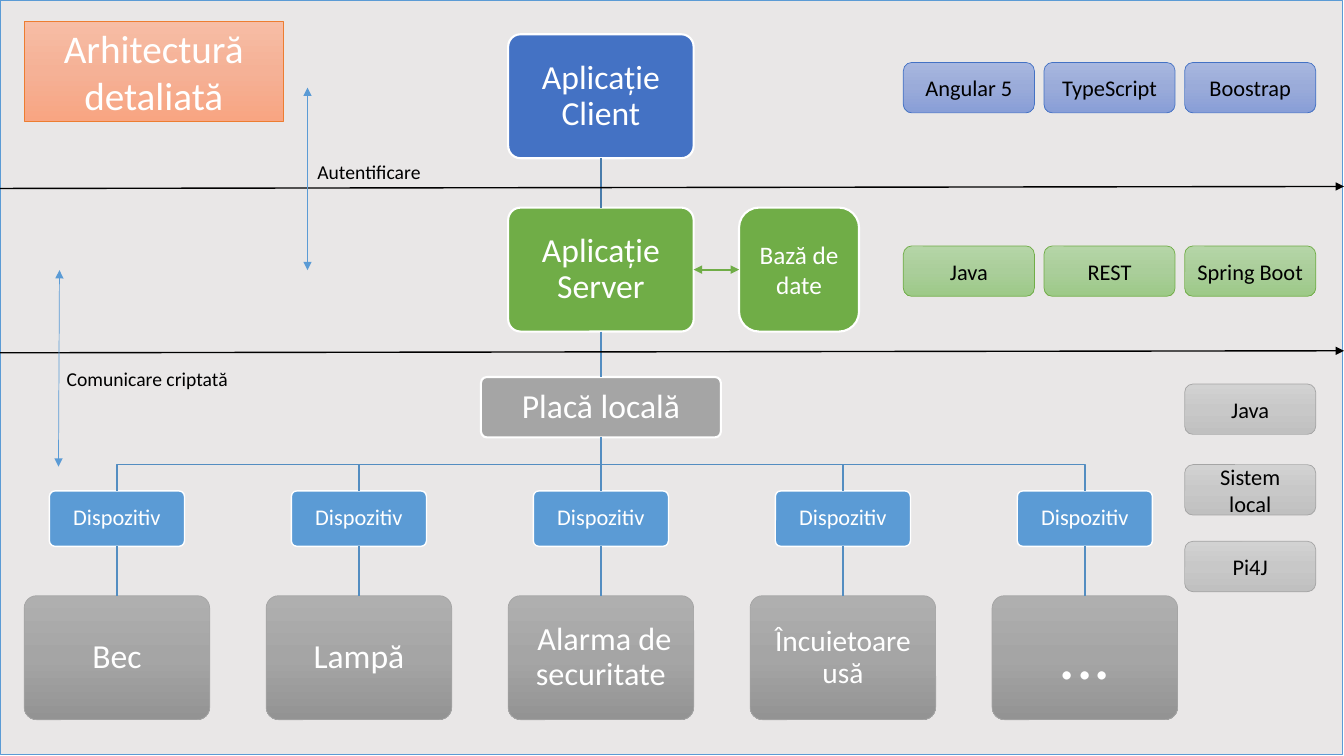
"""Build the detailed architecture slide of a home automation system."""
from copy import deepcopy

from lxml import etree
from pptx import Presentation
from pptx import util as u
from pptx.dml.color import RGBColor
from pptx.enum import shapes, text
from pptx.oxml.ns import qn

WHITE = RGBColor(0xFF, 0xFF, 0xFF)
BLACK = RGBColor(0, 0, 0)
BACKDROP = RGBColor(0xE9, 0xE7, 0xE7)
BLUE = RGBColor(0x44, 0x72, 0xC4)
GREEN = RGBColor(0x70, 0xAD, 0x47)
GRAY = RGBColor(0xA5, 0xA5, 0xA5)
SKY = RGBColor(0x5B, 0x9B, 0xD5)
ORANGE = RGBColor(0xED, 0x7D, 0x31)
CLIENT_LINK = RGBColor(0x49, 0x7C, 0xAB)
TREE_LINK = RGBColor(0x53, 0x8D, 0xC1)
BLUE_FADE = tuple(map(RGBColor.from_string, ("A8B7DF", "9AABD9", "889ED7")))
GREEN_FADE = tuple(map(RGBColor.from_string, ("B5D5A7", "AACE9A", "9CC987")))
LIGHT_FADE = tuple(map(RGBColor.from_string, ("D2D2D2", "C8C8C8", "C0C0C0")))
GRAY_FADE = tuple(map(RGBColor.from_string, ("AFAFAF", "A5A5A5", "939393")))
ORANGE_FADE = tuple(map(RGBColor.from_string, ("F7BDA5", "F5B196", "F8A582")))

TITLE = "Arhitectură detaliată"
DEVICES = [
    ("Bec", 24, 0.1),
    ("Lampă", 24, 0.1),
    (" Alarma de securitate", 23, 0.1),
    ("Încuietoare usă", 21, 0.09),
    ("...", 49, 0.2),
]
TOOL_ROWS = [
    (0.62, ["Angular 5", "TypeScript", "Boostrap"], BLUE_FADE, BLUE),
    (2.44, ["Java", "REST", "Spring Boot"], GREEN_FADE, GREEN),
]
HUB_TOOLS = [(3.81, "Java"), (4.61, "Sistem local"), (5.37, "Pi4J")]
LABELS = [(0.55, 3.59, "Comunicare criptată"), (2.75, 1.54, "Autentificare")]
DIVIDERS = [(0, 1.87, 13.33, 1.85), (0, 3.5, 13.33, 3.48)]
SPANS = [(0.59, 2.68, 0.58, 4.63), (3.05, 0.87, 3.05, 2.68)]

CENTER = 5.96
DEVICE_STEP = 2.4
TOOL_LEFT, TOOL_STEP = 8.96, 1.395
FORK_Y = 4.61
RECT = shapes.MSO_SHAPE.RECTANGLE
ROUND = shapes.MSO_SHAPE.ROUNDED_RECTANGLE

deck = Presentation()
deck.slide_width, deck.slide_height = u.Inches(13.33), u.Inches(7.5)
page = deck.slides.add_slide(deck.slide_layouts[6])


def apply(target, values):
    for name, value in values.items():
        setattr(target, name, value)


def write(box, words, size, color, inset=None, spacing=None, anchor=text.MSO_ANCHOR.MIDDLE):
    frame = box.text_frame
    apply(frame, {"word_wrap": True, "vertical_anchor": anchor})
    if inset is not None:
        sides = ("left", "top", "right", "bottom")
        apply(frame, {f"margin_{side}": u.Inches(inset) for side in sides})
    para = frame.paragraphs[0]
    apply(para, {"alignment": text.PP_ALIGN.CENTER, "line_spacing": spacing})
    span = para.add_run()
    span.text = words
    apply(span.font, {"name": "Calibri", "size": u.Pt(size)})
    span.font.color.rgb = color


def paint(box, fill):
    if isinstance(fill, RGBColor):
        box.fill.solid()
        box.fill.fore_color.rgb = fill
        return
    box.fill.gradient()
    box.fill.gradient_angle = 270
    stops = box._element.spPr.find(f".//{qn('a:gsLst')}")
    stops.insert(1, deepcopy(stops[0]))
    for stop, color, position in zip(box.fill.gradient_stops, fill, (0, 0.5, 1)):
        stop.color.rgb = color
        stop.position = position


def add_box(kind, area, fill, line, width, corner=None):
    box = page.shapes.add_shape(kind, *map(u.Inches, area))
    box.shadow.inherit = False
    if corner is not None:
        box.adjustments[0] = corner
    paint(box, fill)
    box.line.color.rgb = line
    box.line.width = u.Pt(width)
    return box


def add_node(top, width, height, words, size, fill, line=WHITE, weight=1.5, inset=0.1, center=CENTER):
    area = (center - width / 2, top, width, height)
    box = add_box(ROUND, area, fill, line, weight, 0.1)
    write(box, words, size, WHITE, inset, 0.9)
    return box


def add_tool(column, top, words, fill, line):
    area = (TOOL_LEFT + column * TOOL_STEP, top, 1.3, 0.5)
    write(add_box(ROUND, area, fill, line, 0.5), words, 16, BLACK)


def add_line(ends, color, width, arrows=()):
    line = page.shapes.add_connector(shapes.MSO_CONNECTOR.STRAIGHT, *map(u.Inches, ends))
    line.line.color.rgb = color
    line.line.width = u.Pt(width)
    outline = line._element.spPr.find(qn("a:ln"))
    for arrow in arrows:
        etree.SubElement(outline, qn(f"a:{arrow}"), type="triangle")
    etree.SubElement(line._element.spPr, qn("a:effectLst"))
    return line


def join(start, start_side, end, end_side, color, width=1, arrows=()):
    line = add_line((0, 0, 1, 1), color, width, arrows)
    line.begin_connect(start, start_side)
    line.end_connect(end, end_side)


def add_branch(center, top, bottom):
    corners = [(CENTER, FORK_Y), (center, FORK_Y), (center, bottom)]
    builder = page.shapes.build_freeform(u.Inches(CENTER), u.Inches(top))
    builder.add_line_segments([tuple(map(u.Inches, corner)) for corner in corners], close=False)
    branch = builder.convert_to_shape()
    branch.shadow.inherit = False
    branch.fill.background()
    branch.line.color.rgb = TREE_LINK
    branch.line.width = u.Pt(1)


add_box(RECT, (0, 0, 13.31, 7.48), BACKDROP, SKY, 0.5)

client = add_node(0.34, 1.84, 1.23, "Aplicație Client", 24, BLUE)
server = add_node(2.06, 1.84, 1.23, "Aplicație Server", 24, GREEN)
hub = add_node(3.74, 2.38, 0.6, "Placă locală", 24, GRAY)
join(client, 2, server, 0, CLIENT_LINK)
join(server, 2, hub, 0, TREE_LINK)

for index, (name, size, inset) in enumerate(DEVICES):
    middle = CENTER + (index - len(DEVICES) // 2) * DEVICE_STEP
    driver = add_node(4.87, 1.34, 0.55, "Dispozitiv", 16, SKY, WHITE, 1, 0.07, middle)
    device = add_node(5.91, 1.84, 1.23, name, size, GRAY_FADE, GRAY, 0.5, inset, middle)
    if middle == CENTER:
        join(hub, 2, driver, 0, TREE_LINK)
    else:
        add_branch(middle, 4.34, 4.87)
    join(driver, 2, device, 0, TREE_LINK)

title = add_box(RECT, (0.24, 0.21, 2.57, 0.99), ORANGE_FADE, ORANGE, 0.5)
write(title, TITLE, 28, WHITE)

for ends in DIVIDERS:
    add_line(ends, BLACK, 1, ("tailEnd",))

for top, names, fill, line in TOOL_ROWS:
    for column, name in enumerate(names):
        add_tool(column, top, name, fill, line)
for top, name in HUB_TOOLS:
    add_tool(2, top, name, LIGHT_FADE, GRAY)

for ends in SPANS:
    add_line(ends, SKY, 0.5, ("headEnd", "tailEnd"))
for left, top, words in LABELS:
    label = page.shapes.add_textbox(*map(u.Inches, (left, top, 1.82, 0.34)))
    write(label, words, 14, BLACK, anchor=text.MSO_ANCHOR.TOP)

database = add_box(ROUND, (7.33, 2.06, 1.19, 1.23), GREEN, WHITE, 1.5)
write(database, "Bază de date", 18, WHITE)
join(server, 3, database, 1, GREEN, 1.5, ("headEnd", "tailEnd"))

deck.save("out.pptx")
